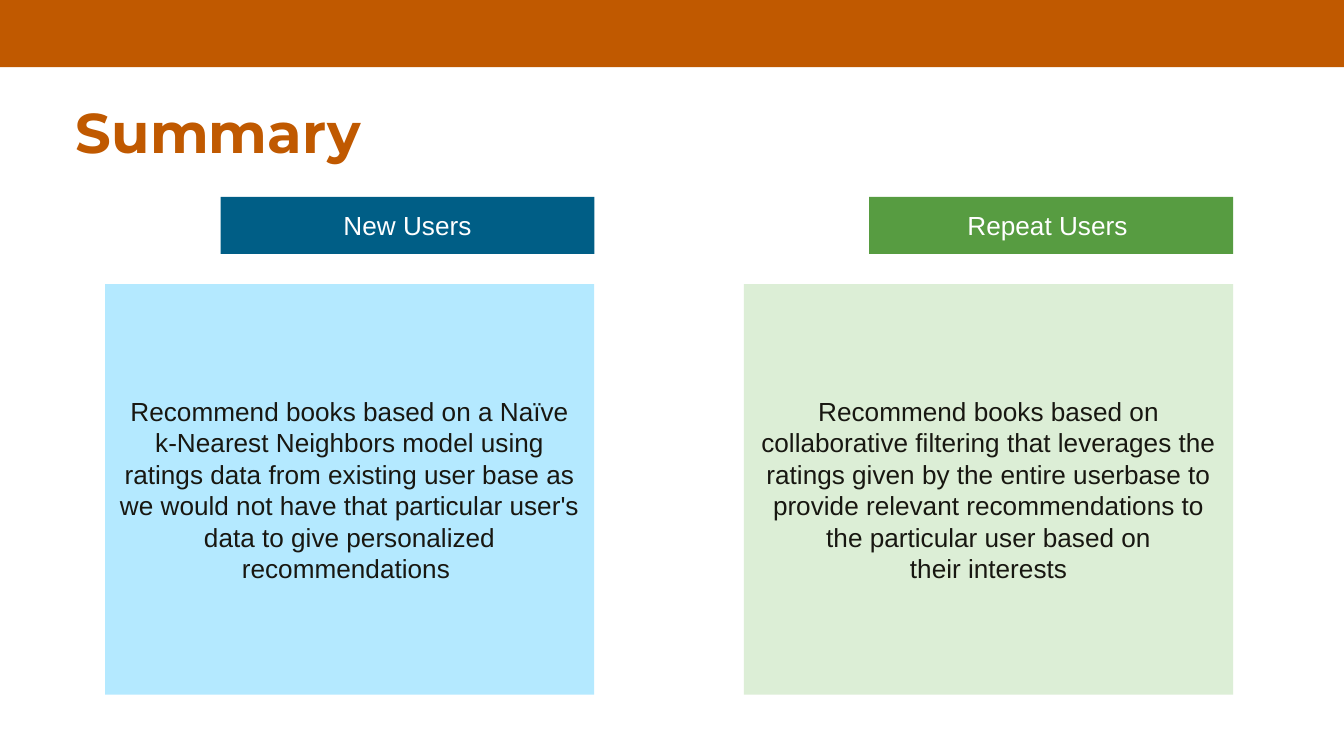
import pptx
import pptx.dml.color
import pptx.enum.shapes
import pptx.enum.text
import pptx.util
from dataclasses import dataclass


@dataclass(frozen=True)
class Theme:
    accent: str = "C05900"
    light_text: str = "FFFFFF"
    dark_text: str = "181711"
    new_dark: str = "005E86"
    new_light: str = "B4E9FF"
    repeat_dark: str = "579C41"
    repeat_light: str = "DCEED6"
    title_font: str = "Montserrat"
    body_font: str = "Arial"
    title_size: int = 30
    body_size: int = 14


@dataclass(frozen=True)
class Area:
    column: float
    row: float
    columns: float
    rows: float


@dataclass(frozen=True)
class UserGroup:
    heading: str
    advice: str
    dark: str
    light: str
    left: float
    heading_columns: float


THEME = Theme()
COLUMNS, ROWS = 100, 56.25
CELL = pptx.util.Inches(10) / COLUMNS
CARD_COLUMNS = 36.4
HEADING_ROW, HEADING_ROWS = 14.65, 4.25
CARD_ROW, CARD_ROWS = 21.15, 30.55
HARD_SPACE = chr(160)

GROUPS = [
    UserGroup(
        "New Users",
        "Recommend books based on a Naïve k-Nearest Neighbors model using ratings "
        f"data from{HARD_SPACE}existing user base as we would not have that particular "
        f"user's data to give personalized recommendations{HARD_SPACE}",
        THEME.new_dark, THEME.new_light, 7.82, 27.8,
    ),
    UserGroup(
        "Repeat Users ",
        "Recommend books based on collaborative filtering that leverages the ratings "
        "given by the entire userbase to provide relevant recommendations to the "
        f"particular user based on their{HARD_SPACE}interests",
        THEME.repeat_dark, THEME.repeat_light, 55.36, 27.1,
    ),
]


def grid(count: float) -> pptx.util.Emu:
    return pptx.util.Emu(round(count * CELL))


def place(area: Area) -> list[pptx.util.Emu]:
    return [grid(count) for count in (area.column, area.row, area.columns, area.rows)]


def color(code: str) -> pptx.dml.color.RGBColor:
    return pptx.dml.color.RGBColor.from_string(code)


def add_run(paragraph, text: str, font_name: str, size: int, code: str, bold: bool = False) -> None:
    run = paragraph.add_run()
    run.text = text
    run.font.name = font_name
    run.font.size = pptx.util.Pt(size)
    run.font.bold = bold
    run.font.color.rgb = color(code)


def add_panel(slide, area: Area, fill: str, text: str = "", text_color: str = THEME.dark_text) -> None:
    shape = slide.shapes.add_shape(pptx.enum.shapes.MSO_SHAPE.RECTANGLE, *place(area))
    shape.shadow.inherit = False
    shape.fill.solid()
    shape.fill.fore_color.rgb = color(fill)
    shape.line.fill.background()
    if text:
        shape.text_frame.word_wrap = True
        shape.text_frame.vertical_anchor = pptx.enum.text.MSO_ANCHOR.MIDDLE
        paragraph = shape.text_frame.paragraphs[0]
        paragraph.alignment = pptx.enum.text.PP_ALIGN.CENTER
        add_run(paragraph, text, THEME.body_font, THEME.body_size, text_color)


def add_title(slide, area: Area, text: str) -> None:
    frame = slide.shapes.add_textbox(*place(area)).text_frame
    frame.word_wrap = True
    frame.margin_left = frame.margin_right = frame.margin_bottom = 0
    frame.margin_top = grid(0.1)
    add_run(frame.paragraphs[0], text, THEME.title_font, THEME.title_size, THEME.accent, True)


def add_group(slide, group: UserGroup) -> None:
    heading_left = group.left + CARD_COLUMNS - group.heading_columns
    heading = Area(heading_left, HEADING_ROW, group.heading_columns, HEADING_ROWS)
    card = Area(group.left, CARD_ROW, CARD_COLUMNS, CARD_ROWS)
    add_panel(slide, heading, group.dark, group.heading, THEME.light_text)
    add_panel(slide, card, group.light, group.advice)


def main() -> None:
    presentation = pptx.Presentation()
    presentation.slide_width = grid(COLUMNS)
    presentation.slide_height = grid(ROWS)
    slide = presentation.slides.add_slide(presentation.slide_layouts[6])
    add_panel(slide, Area(0, 0, COLUMNS, 5), THEME.accent)
    add_title(slide, Area(5.65, 7.15, 83.2, 5.3), "Summary")
    for group in GROUPS:
        add_group(slide, group)
    presentation.save("out.pptx")


if __name__ == "__main__":
    main()
